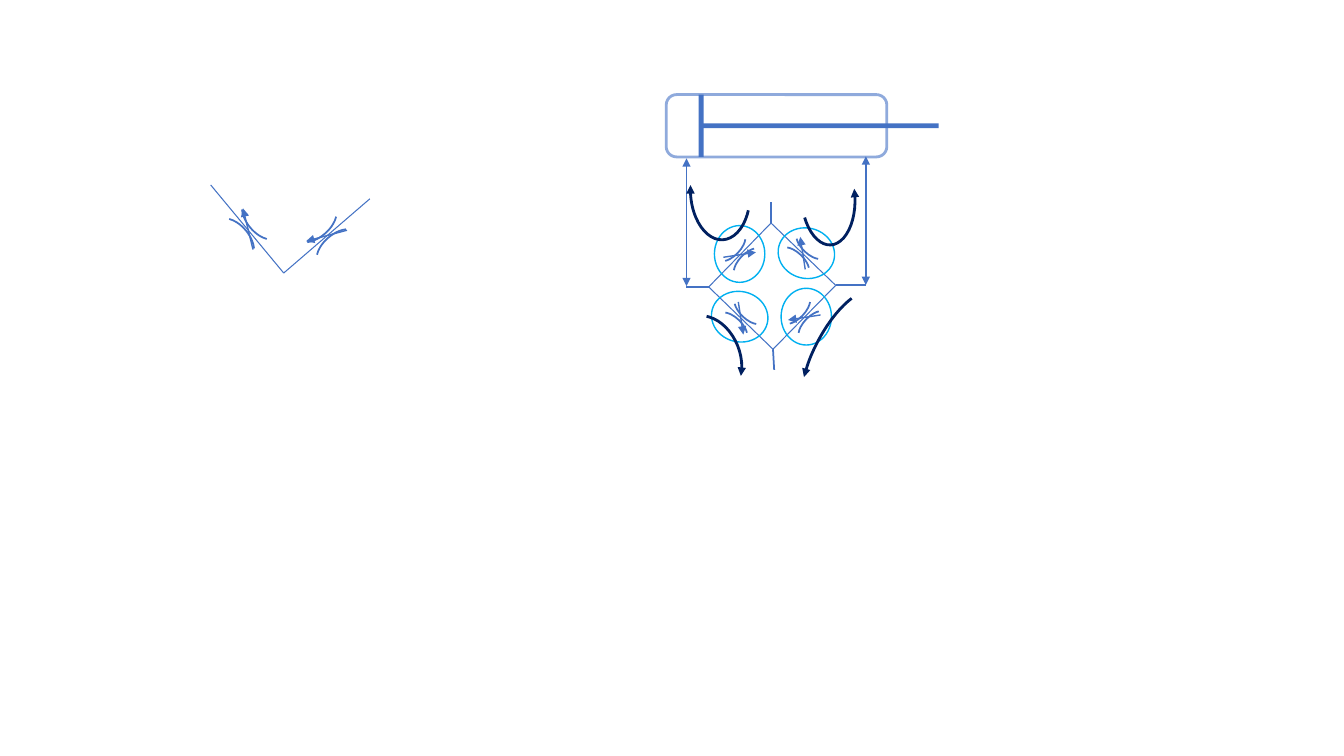
from math import cos, radians, sin

from lxml.etree import SubElement
from pptx import Presentation
from pptx.dml.color import RGBColor
from pptx.enum.shapes import MSO_CONNECTOR, MSO_SHAPE
from pptx.oxml.ns import qn
from pptx.util import Cm, Pt

# Content: lengths in cm, angles in degrees, line widths in points
BLUE, PALE_BLUE, CYAN, NAVY = "4472C4", "8FAADC", "00B0F0", "002060"

PIPE = {"color": BLUE, "width": 0.75}
STUB = {"color": BLUE, "width": 1.25}
PORT = {"color": BLUE, "width": 1.25, "ends": ("headEnd", "tailEnd")}
NEEDLE = {"color": BLUE, "width": 1, "ends": ("tailEnd",)}
THROAT = {"color": BLUE, "width": 1.25}
BARREL = {"color": PALE_BLUE, "width": 2}
RING = {"color": CYAN, "width": 1}

# Throttle valves: centre and rotation
LARGE = {"size": (0.71, 1.24), "offset": 0.42, "needle": 1.07, "turn": 115.7}
SMALL = {"size": (0.53, 0.97), "offset": 0.33, "needle": 0.83, "turn": 127.3}
VALVES = [
    (LARGE, (6.25, 5.77), 140.6),
    (LARGE, (8.23, 5.94), 49.3),
    (SMALL, (20.27, 8.00), 43.9),
    (SMALL, (20.23, 6.38), 133.9),
    (SMALL, (18.64, 6.42), 223.9),
    (SMALL, (18.67, 8.02), 313.9),
]
THROAT_ANGLES = (-66.5, 64.5)

# Pipes
BRANCH = [(5.31, 4.66), (7.15, 6.88), (9.32, 5.01)]
BRIDGE = [(19.43, 5.62), (21.06, 7.19), (19.48, 8.80), (17.86, 7.23)]
STUB_ENDS = [(19.43, 5.08), (21.82, 7.19), (19.51, 9.32), (17.30, 7.23)]
PORTS = [((21.82, 7.18), (21.82, 3.94)), ((17.30, 7.21), (17.30, 3.99))]

# Cylinder: centre and size
CYLINDER = ((19.57, 3.17), (5.56, 1.57))
PISTON_PARTS = [((17.67, 3.17), (0.13, 1.57)), ((20.67, 3.17), (5.97, 0.12))]

# Rings: centre and rotation
RING_SIZE = (1.27, 1.43)
RINGS = [
    ((18.64, 6.40), 0),
    ((20.32, 7.98), 0),
    ((20.32, 6.38), 102.9),
    ((18.64, 7.98), 102.9),
]

# Flow arrows: centre, size, rotation, start and end angle, arrowhead end
FLOWS = [
    ((18.15, 4.84), (2.41, 1.50), 87, (-54, 106), "tailEnd"),
    ((21.25, 9.00), (3.68, 1.50), 296.8, (216.3, 341.4), "headEnd"),
    ((20.87, 4.97), (2.41, 1.35), 87, (-104.8, 52.1), "headEnd"),
    ((17.87, 9.00), (2.16, 1.55), 248.2, (18.3, 142.2), "tailEnd"),
]


# Helpers
def paint(target, color):
    target.solid()
    target.fore_color.rgb = RGBColor.from_string(color)


def style_line(line, look):
    paint(line.fill, look["color"])
    line.width = Pt(look["width"])
    outline = line._get_or_add_ln()
    for end in look.get("ends", ()):
        SubElement(outline, qn(f"a:{end}"), type="triangle")


def add_line(page, start, end, look):
    points = [Cm(value) for value in (*start, *end)]
    connector = page.shapes.add_connector(MSO_CONNECTOR.STRAIGHT, *points)
    style_line(connector.line, look)
    SubElement(connector._element.spPr, qn("a:effectLst"))


def add_part(page, kind, center, size, look=None, rotation=0, fill=None):
    left, top = (middle - length / 2 for middle, length in zip(center, size))
    part = page.shapes.add_shape(kind, Cm(left), Cm(top), *map(Cm, size))
    for name, value in {"rotation": rotation % 360}.items():
        setattr(part, name, value)
    part.shadow.inherit = False
    if fill:
        paint(part.fill, fill)
    else:
        part.fill.background()
    if look:
        style_line(part.line, look)
    else:
        part.line.fill.background()
    return part


def add_arc(page, center, size, look, rotation, angles):
    arc = add_part(page, MSO_SHAPE.ARC, center, size, look, rotation)
    for index, angle in enumerate(angles):
        arc.adjustments[index] = angle % 360 * 0.6  # 60000ths over 100000


def shift(point, distance, angle):
    return (point[0] + distance * cos(radians(angle)),
            point[1] + distance * sin(radians(angle)))


def add_valve(page, model, center, rotation):
    for facing in (rotation, rotation + 180):
        middle = shift(center, -model["offset"], facing)
        add_arc(page, middle, model["size"], THROAT, facing, THROAT_ANGLES)
    direction, half = rotation + model["turn"], model["needle"] / 2
    add_line(page, shift(center, -half, direction),
             shift(center, half, direction), NEEDLE)


def main():
    deck = Presentation()
    for name, value in {"slide_width": 33.87, "slide_height": 19.05}.items():
        setattr(deck, name, Cm(value))
    page = deck.slides.add_slide(deck.slide_layouts[6])

    # Pipes and valves
    for start, end in zip(BRANCH, BRANCH[1:]):
        add_line(page, start, end, PIPE)
    for start, end in zip(BRIDGE, BRIDGE[1:] + BRIDGE[:1]):
        add_line(page, start, end, PIPE)
    for valve in VALVES:
        add_valve(page, *valve)
    for corner, end in zip(BRIDGE, STUB_ENDS):
        add_line(page, corner, end, STUB)

    # Cylinder with its ports, piston and rod
    add_part(page, MSO_SHAPE.ROUNDED_RECTANGLE, *CYLINDER, BARREL)
    for start, end in PORTS:
        add_line(page, start, end, PORT)
    for center, size in PISTON_PARTS:
        add_part(page, MSO_SHAPE.RECTANGLE, center, size, fill=BLUE)

    # Rings and flow arrows
    for center, rotation in RINGS:
        add_part(page, MSO_SHAPE.OVAL, center, RING_SIZE, RING, rotation)
    for center, size, rotation, angles, end in FLOWS:
        look = {"color": NAVY, "width": 2, "ends": (end,)}
        add_arc(page, center, size, look, rotation, angles)

    deck.save("out.pptx")


if __name__ == "__main__":
    main()
